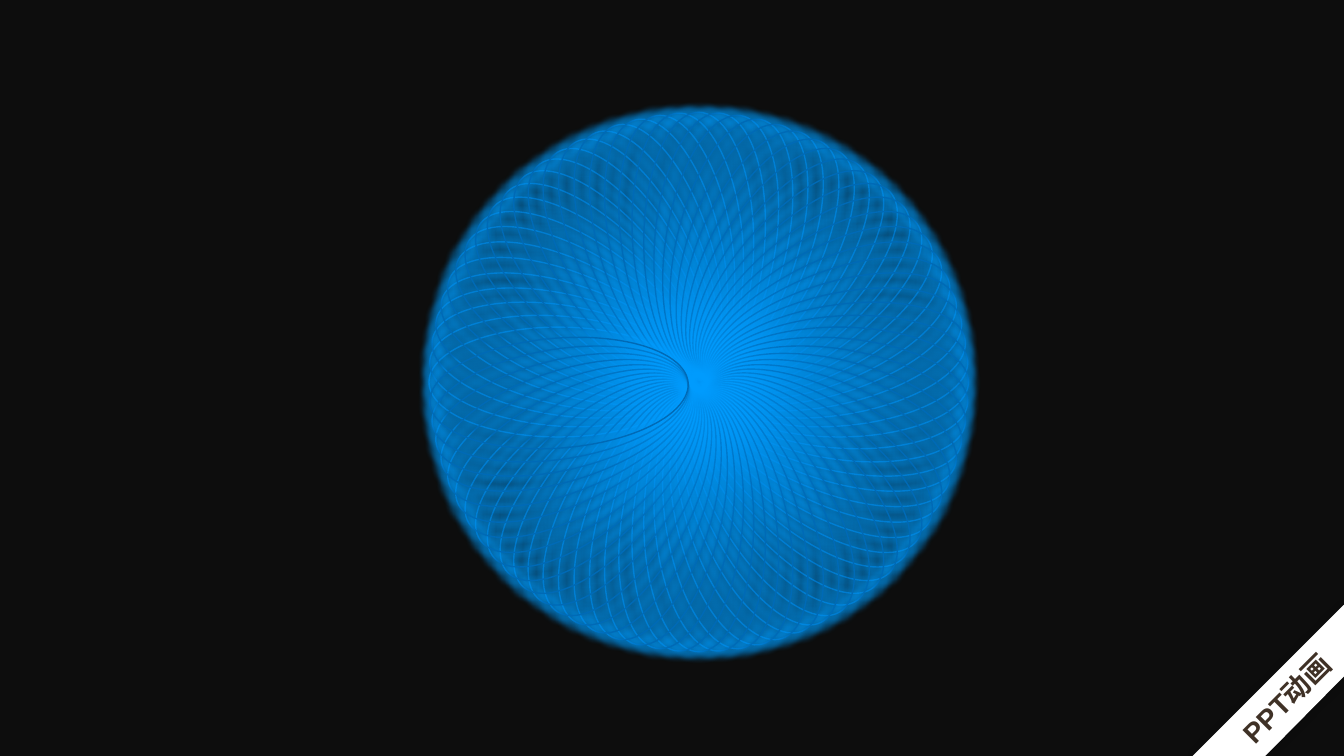
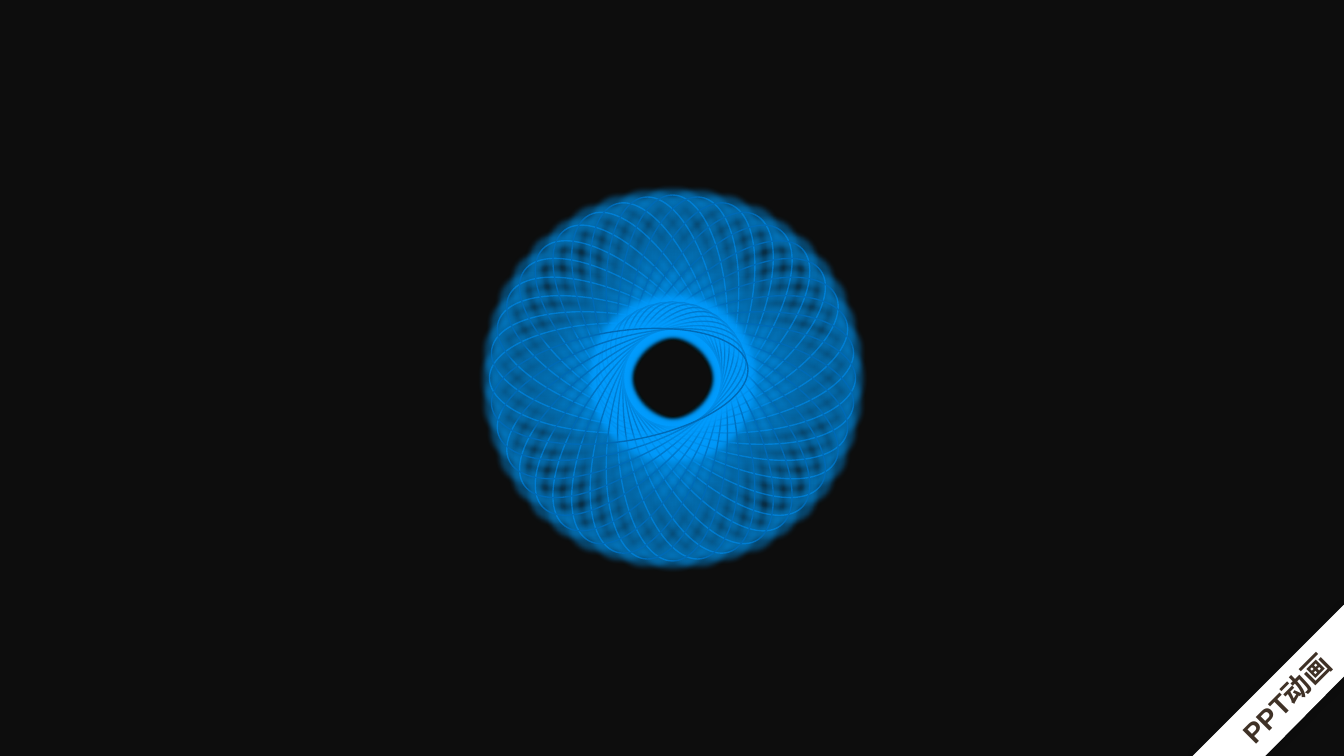
"""Builds two slides of glowing rings of ellipses with a corner ribbon."""
import dataclasses
import math

import pptx
import pptx.dml.color
import pptx.enum.shapes
import pptx.enum.text
import pptx.oxml
import pptx.oxml.ns
import pptx.util

Inches = pptx.util.Inches
Pt = pptx.util.Pt

LABEL = "PPT动画"
BAND = [(13.33, 6), (13.33, 6.71), (12.55, 7.5), (11.83, 7.5)]
LABEL_BOX = (11.96, 6.71, 1.6, 0.44)
PETAL = (1.09, 2.57)
RINGS = [
    {"count": 80, "center": (6.93, 3.79), "radius": 1.39},
    {"count": 40, "center": (6.67, 3.75), "radius": 0.53},
]


@dataclasses.dataclass(frozen=True)
class Theme:
    """Colours, type and effects."""
    back: str = "0D0D0D"
    band: str = "FFFFFF"
    ink: str = "3F3126"
    line: str = "006AB6"
    glow: str = "009DFF"
    shade: str = "000000"
    font: str = "Arial"
    size: int = 20
    tilt: int = 315


THEME = Theme()


def paint(fill, color):
    """Fill with one solid colour."""
    fill.solid()
    fill.fore_color.rgb = pptx.dml.color.RGBColor.from_string(color)


def add_effect(shape, tag, attrs, color, alpha):
    """Give a shape one glow or shadow."""
    shape.shadow.inherit = False
    space = pptx.oxml.ns.nsdecls("a")
    effect = pptx.oxml.parse_xml(
        f'<a:{tag} {space} {attrs}><a:srgbClr val="{color}">'
        f'<a:alpha val="{alpha * 1000}"/></a:srgbClr></a:{tag}>')
    shape.element.spPr.find(pptx.oxml.ns.qn("a:effectLst")).append(effect)


def add_band(shapes):
    """Draw the corner band."""
    points = [(Inches(x), Inches(y)) for x, y in BAND]
    pen = shapes.build_freeform(*points[0])
    pen.add_line_segments(points[1:], close=True)
    band = pen.convert_to_shape()
    paint(band.fill, THEME.band)
    band.line.fill.background()
    attrs = f'blurRad="{Pt(6)}" dist="0" dir="{THEME.tilt * 60000}"'
    add_effect(band, "outerShdw", attrs, THEME.shade, 20)
    return band


def add_label(shapes):
    """Write the tilted label on the band."""
    label = shapes.add_textbox(*map(Inches, LABEL_BOX))
    label.rotation = THEME.tilt
    frame = label.text_frame
    frame.word_wrap = True
    frame.text = LABEL
    para = frame.paragraphs[0]
    para.alignment = pptx.enum.text.PP_ALIGN.CENTER
    font = para.runs[0].font
    font.name, font.size, font.bold = THEME.font, Pt(THEME.size), True
    paint(font.fill, THEME.ink)
    return label


def add_ring(shapes, count, center, radius):
    """Place petals evenly around a center, clockwise from the left."""
    wide, high = PETAL
    for index in range(count):
        turn = (270 + index * 360 / count) % 360
        angle = math.radians(turn)
        left = center[0] + radius * math.sin(angle) - wide / 2
        top = center[1] - radius * math.cos(angle) - high / 2
        petal = shapes.add_shape(
            pptx.enum.shapes.MSO_SHAPE.OVAL,
            *map(Inches, (left, top, wide, high)))
        petal.rotation = turn
        petal.fill.background()
        paint(petal.line.fill, THEME.line)
        petal.line.width = Pt(1)
        add_effect(petal, "glow", f'rad="{Pt(8)}"', THEME.glow, 40)


def main():
    """Build and save the deck."""
    deck = pptx.Presentation()
    deck.slide_width, deck.slide_height = Inches(13.33), Inches(7.5)
    master = deck.slide_master
    paint(master.background.fill, THEME.back)
    slides = [deck.slides.add_slide(deck.slide_layouts[6]) for _ in RINGS]
    for add in (add_band, add_label):
        master.shapes.element.append(add(slides[0].shapes).element)
    for slide, ring in zip(slides, RINGS):
        add_ring(slide.shapes, **ring)
    deck.save("out.pptx")


main()
